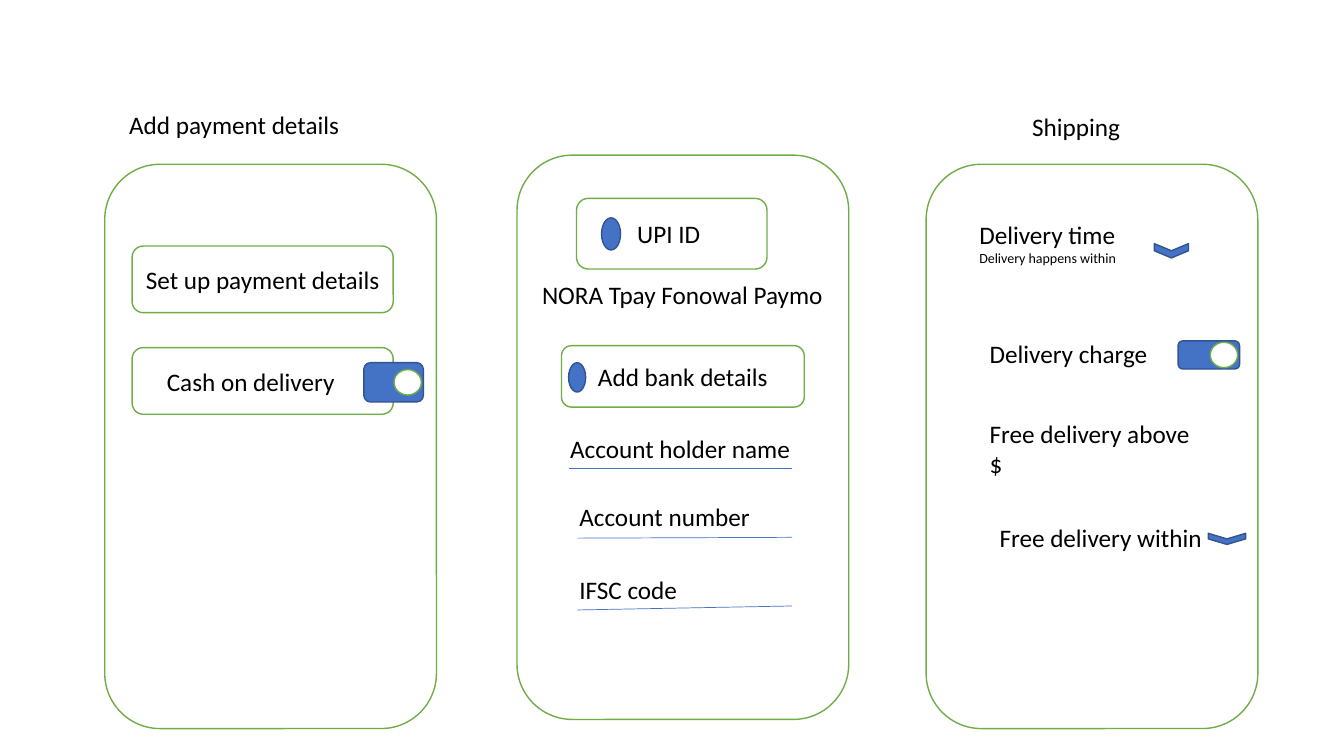
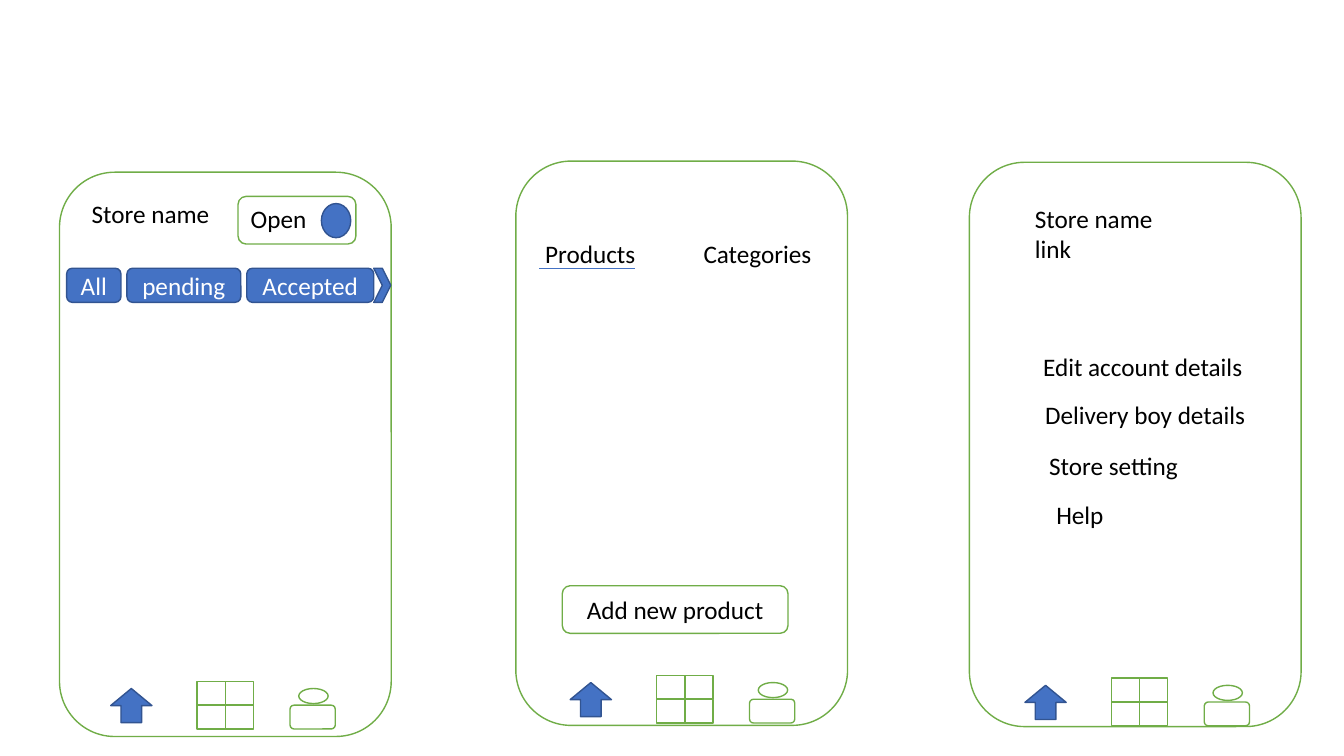
from dataclasses import dataclass

from lxml.etree import SubElement
from pptx import Presentation
from pptx.dml.color import RGBColor
from pptx.enum.shapes import MSO_CONNECTOR as Connector, MSO_SHAPE as Shape
from pptx.enum.text import MSO_ANCHOR as Anchor, MSO_AUTO_SIZE as AutoSize, PP_ALIGN as Align
from pptx.oxml.ns import qn
from pptx.util import Cm, Pt


@dataclass(frozen=True)
class Theme:
    font: str = "Calibri"
    body: int = 18
    note: int = 10
    text: str = "000000"
    paper: str = "FFFFFF"
    outline: str = "70AD47"
    accent: str = "4472C4"
    accent_edge: str = "325491"
    edge_width: float = 1
    rule_width: float = 0.5


THEME = Theme()
TITLE_ONLY, BLANK = 5, 6


# Text
def style(paragraph, color=THEME.text, size=THEME.body, align=Align.LEFT):
    paragraph.alignment = align
    paragraph.font.name = THEME.font
    paragraph.font.size = Pt(size)
    paragraph.font.color.rgb = RGBColor.from_string(color)


def add_label(slide, text, left, top, width, height=1.02, note=None):
    box = slide.shapes.add_textbox(Cm(left), Cm(top), Cm(width), Cm(height))
    frame = box.text_frame
    frame.word_wrap = True
    frame.text = text
    for paragraph in frame.paragraphs:
        style(paragraph)
    if note:
        paragraph = frame.add_paragraph()
        paragraph.text = note
        style(paragraph, size=THEME.note)


def set_title(slide, text, left, top, width, height=1.02):
    title = slide.shapes.title
    title.left, title.top, title.width, title.height = map(Cm, (left, top, width, height))
    frame = title.text_frame
    frame.text = text
    frame.vertical_anchor = Anchor.TOP
    frame.auto_size = AutoSize.NONE
    style(frame.paragraphs[0])


# Shapes
def add_box(slide, kind, left, top, width, height, text=None, accent=False, right_pad=0.25):
    box = slide.shapes.add_shape(kind, Cm(left), Cm(top), Cm(width), Cm(height))
    box.shadow.inherit = False
    box.fill.solid()
    box.fill.fore_color.rgb = RGBColor.from_string(THEME.accent if accent else THEME.paper)
    box.line.color.rgb = RGBColor.from_string(THEME.accent_edge if accent else THEME.outline)
    box.line.width = Pt(THEME.edge_width)
    if text:
        frame = box.text_frame
        frame.text = text
        frame.word_wrap = True
        frame.vertical_anchor = Anchor.MIDDLE
        frame.margin_right = Cm(right_pad)
        style(frame.paragraphs[0], THEME.paper if accent else THEME.text, align=Align.CENTER)
    return box


def add_phone(slide, left, top):
    add_box(slide, Shape.ROUNDED_RECTANGLE, left, top, 8.36, 14.22)


def add_button(slide, text, left, top, width, height, **options):
    add_box(slide, Shape.ROUNDED_RECTANGLE, left, top, width, height, text, **options)


def add_dot(slide, left, top, width, height):
    add_box(slide, Shape.OVAL, left, top, width, height, accent=True)


def add_toggle(slide, left, top, width, height):
    knob_width, knob_height, gap = 0.69, 0.64, 0.05
    add_box(slide, Shape.ROUNDED_RECTANGLE, left, top, width, height, accent=True)
    add_box(slide, Shape.OVAL, left + width - knob_width - gap,
            top + (height - knob_height) / 2, knob_width, knob_height)


def add_dropdown(slide, left, top, width, height):
    arrow = add_box(slide, Shape.CHEVRON, left, top, width, height, accent=True)
    arrow.rotation = 90


def add_rule(slide, left, right, top, end_top=None):
    end_top = top if end_top is None else end_top
    rule = slide.shapes.add_connector(
        Connector.STRAIGHT, Cm(left), Cm(top), Cm(right), Cm(end_top))
    rule.line.color.rgb = RGBColor.from_string(THEME.accent)
    rule.line.width = Pt(THEME.rule_width)
    SubElement(rule.element.spPr, qn("a:effectLst"))


def add_nav_bar(slide, left, top):
    # Home
    add_box(slide, Shape.UP_ARROW, left, top + 0.18, 1.04, 0.86, accent=True)
    # Catalogue grid
    cell_width, cell_height = 0.71, 0.6
    for row in range(2):
        for column in range(2):
            add_box(slide, Shape.RECTANGLE, left + 2.18 + column * cell_width,
                    top + row * cell_height, cell_width, cell_height)
    # Account
    add_box(slide, Shape.ROUNDED_RECTANGLE, left + 4.52, top + 0.6, 1.14, 0.6)
    add_box(slide, Shape.OVAL, left + 4.74, top + 0.18, 0.74, 0.38)


# Slides
def build_payment_slide(deck):
    slide = deck.slides.add_slide(deck.slide_layouts[TITLE_ONLY])
    for left, top in ((23.34, 4.14), (13.03, 3.91), (2.64, 4.14)):
        add_phone(slide, left, top)

    # Payment options
    set_title(slide, "Add payment details", 3, 2.62, 8.56)
    add_button(slide, "Set up payment details", 3.33, 6.2, 6.58, 1.68)
    add_button(slide, "Cash on delivery", 3.33, 8.76, 6.58, 1.68, right_pad=0.85)
    add_toggle(slide, 9.17, 9.14, 1.5, 0.99)

    # Bank account
    add_button(slide, "UPI ID", 14.53, 5, 4.8, 1.78, right_pad=0.4)
    add_dot(slide, 15.16, 5.49, 0.48, 0.81)
    add_label(slide, "NORA Tpay Fonowal Paymo", 13.41, 6.91, 8.36)
    add_button(slide, "Add bank details", 14.15, 8.71, 6.12, 1.55)
    add_dot(slide, 14.33, 9.14, 0.43, 0.74)
    fields = (("Account holder name", 14.12, 10.8),
              ("Account number", 14.35, 12.52),
              ("IFSC code", 14.35, 14.35))
    for name, left, top in fields:
        add_label(slide, name, left, top, 6.12)
    for left, start, end in ((14.35, 11.81, 11.81), (14.55, 13.56, 13.54), (14.55, 15.37, 15.27)):
        add_rule(slide, left, 19.96, start, end)

    # Shipping
    add_label(slide, "Shipping", 25.76, 2.69, 8.1)
    add_label(slide, "Delivery time", 24.43, 5.41, 6.78, 1.45, note="Delivery happens within")
    add_dropdown(slide, 29.34, 5.89, 0.36, 0.86)
    add_label(slide, "Delivery charge", 24.69, 8.41, 4.8)
    add_toggle(slide, 29.69, 8.59, 1.55, 0.71)
    add_label(slide, "Free delivery above\n$", 24.69, 10.41, 5.84, 1.8)
    add_label(slide, "Free delivery within", 24.94, 13.03, 6.3)
    add_dropdown(slide, 30.78, 13.11, 0.28, 0.94)


def build_store_slide(deck):
    slide = deck.slides.add_slide(deck.slide_layouts[BLANK])
    screens = (((1.5, 4.34), (2.79, 17.17)),
               ((13, 4.06), (14.37, 17.02)),
               ((24.43, 4.09), (25.83, 17.09)))
    for phone, nav_bar in screens:
        add_phone(slide, *phone)
        add_nav_bar(slide, *nav_bar)

    # Orders
    add_label(slide, "Store name", 2.06, 4.88, 4.09)
    add_box(slide, Shape.ROUNDED_RECTANGLE, 6, 4.95, 2.97, 1.2)
    add_dot(slide, 8.1, 5.13, 0.74, 0.86)
    add_label(slide, "Open", 6.07, 5, 2.11)
    tab_left, tab_gap = 1.68, 0.15
    for status, width in (("All", 1.37), ("pending", 2.87), ("Accepted", 3.2)):
        add_button(slide, status, tab_left, 6.76, width, 0.86, accent=True)
        tab_left += width + tab_gap
    add_box(slide, Shape.CHEVRON, tab_left - tab_gap, 6.76, 0.43, 0.86, accent=True)

    # Products
    add_label(slide, "Products", 13.49, 5.89, 3.07)
    add_label(slide, "Categories", 17.48, 5.89, 3.71)
    add_rule(slide, 13.59, 16, 6.76)
    add_button(slide, "Add new product", 14.17, 14.76, 5.69, 1.2)

    # Account
    add_label(slide, "Store name\nlink", 25.83, 5, 3.68, 1.8)
    entries = (("Edit account details", 26.04, 8.74), ("Delivery boy details", 26.09, 9.93),
               ("Store setting", 26.19, 11.23), ("Help", 26.37, 12.47))
    for entry, left, top in entries:
        add_label(slide, entry, left, top, 5.89)


def main():
    deck = Presentation()
    deck.slide_width, deck.slide_height = Cm(33.87), Cm(19.05)
    build_payment_slide(deck)
    build_store_slide(deck)
    deck.save("out.pptx")


if __name__ == "__main__":
    main()
